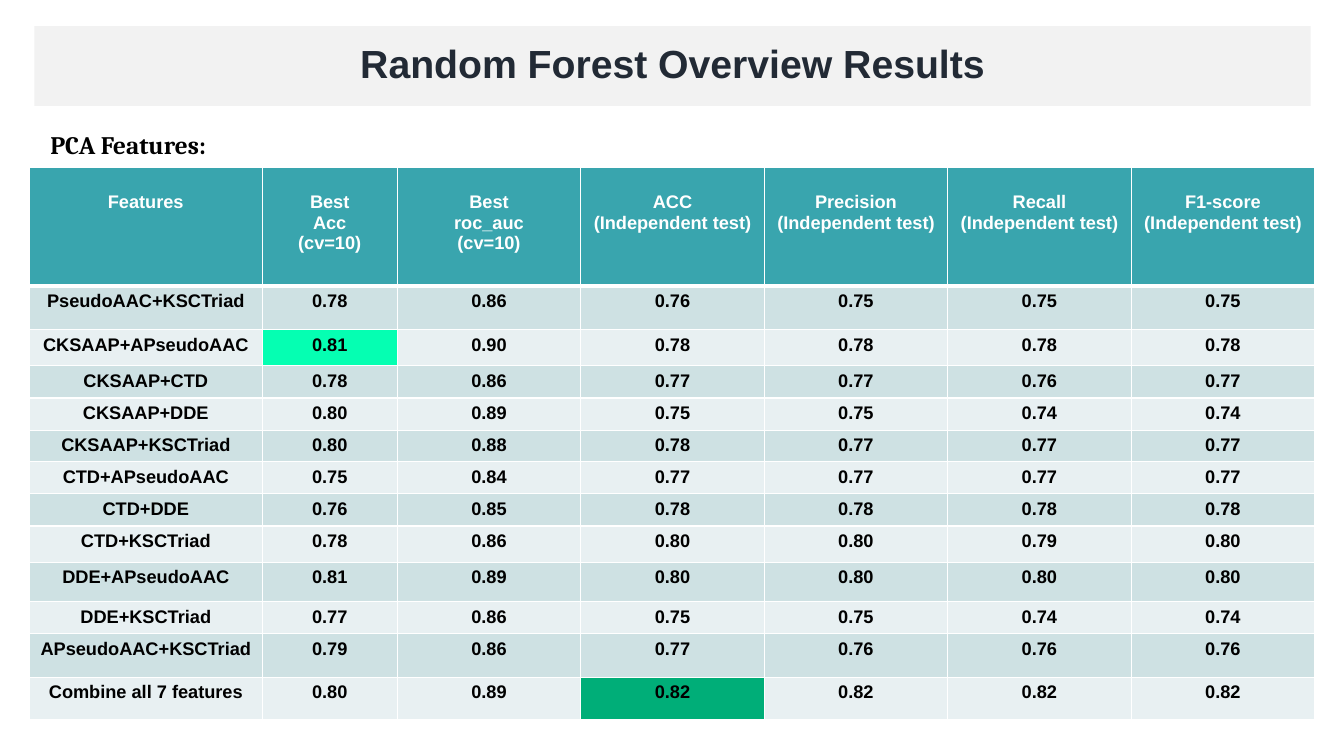
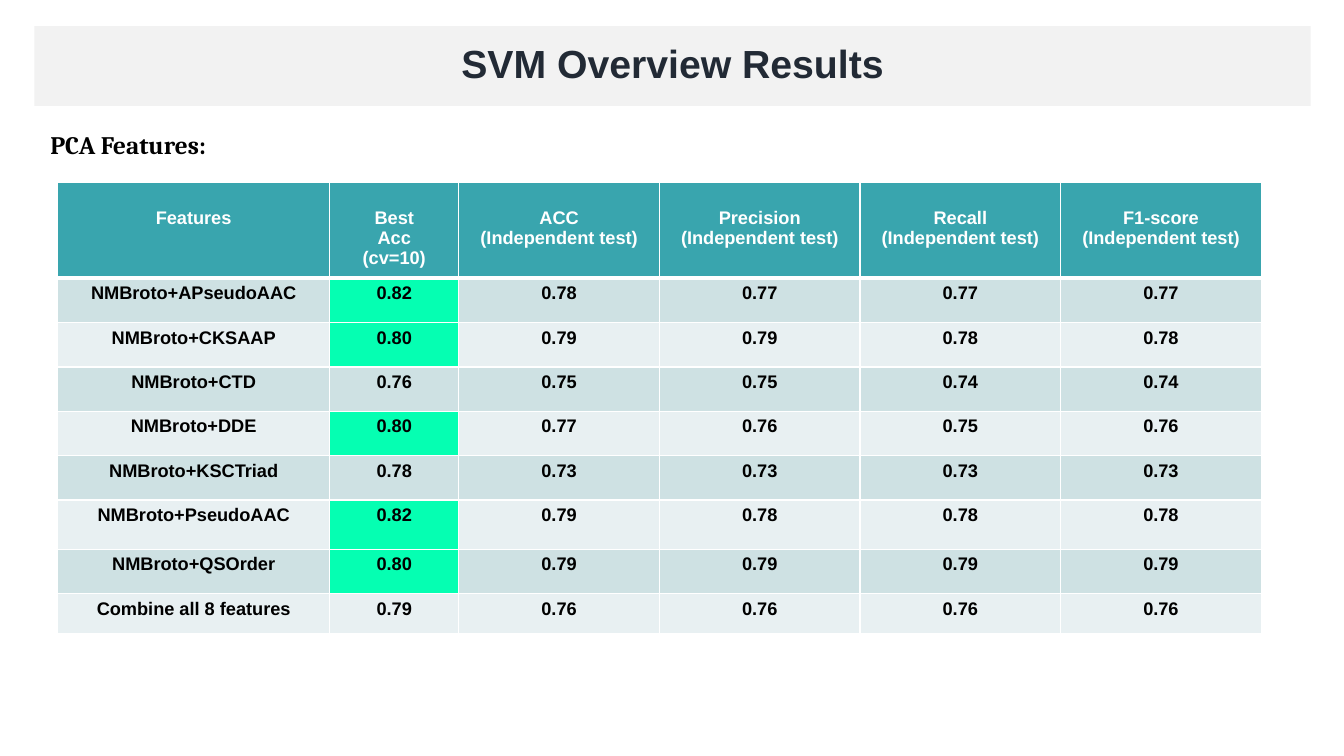
import dataclasses

import lxml.etree
import pptx
import pptx.dml.color
import pptx.enum.shapes
import pptx.enum.text
import pptx.oxml.ns
import pptx.util

ALIGN = pptx.enum.text.PP_ALIGN
EMU_PER_PX = 9144  # 100 px to the inch


@dataclasses.dataclass(frozen=True)
class Theme:
    # Colours
    band: str = "F2F2F2"
    title: str = "222A35"
    text: str = "000000"
    white: str = "FFFFFF"
    header: str = "39A5AE"
    rows: tuple = ("CEE1E3", "E8F0F2")
    bright: str = "05FFB2"
    deep: str = "00AE78"
    # Fonts and sizes in points
    font: str = "Arial"
    label_font: str = "Cambria"
    title_size: int = 28
    label_size: int = 18
    cell_size: int = 13
    thin: int = 1
    thick: int = 3


THEME = Theme()


@dataclasses.dataclass(frozen=True)
class ResultTable:
    title: str
    left: int
    top: int
    column_widths: list
    row_heights: list
    headers: list
    rows: list
    highlights: dict  # (row, column) -> fill colour


# Content
TEST_HEADERS = [f"{name}\n(Independent test)"
                for name in ("ACC", "Precision", "Recall", "F1-score")]
BASE_HEADERS = ["Features", "Best\nAcc\n(cv=10)"]

RANDOM_FOREST = ResultTable(
    title="Random Forest Overview Results",
    left=29,
    top=166,
    column_widths=[231, 134] + [182] * 5,
    row_heights=[118, 43, 36, 32, 32, 31, 32, 32, 36, 39, 32, 43, 42],
    headers=BASE_HEADERS + ["Best\nroc_auc\n(cv=10)"] + TEST_HEADERS,
    rows=[
        ("PseudoAAC+KSCTriad", "0.78 0.86 0.76 0.75 0.75 0.75"),
        ("CKSAAP+APseudoAAC", "0.81 0.90 0.78 0.78 0.78 0.78"),
        ("CKSAAP+CTD", "0.78 0.86 0.77 0.77 0.76 0.77"),
        ("CKSAAP+DDE", "0.80 0.89 0.75 0.75 0.74 0.74"),
        ("CKSAAP+KSCTriad", "0.80 0.88 0.78 0.77 0.77 0.77"),
        ("CTD+APseudoAAC", "0.75 0.84 0.77 0.77 0.77 0.77"),
        ("CTD+DDE", "0.76 0.85 0.78 0.78 0.78 0.78"),
        ("CTD+KSCTriad", "0.78 0.86 0.80 0.80 0.79 0.80"),
        ("DDE+APseudoAAC", "0.81 0.89 0.80 0.80 0.80 0.80"),
        ("DDE+KSCTriad", "0.77 0.86 0.75 0.75 0.74 0.74"),
        ("APseudoAAC+KSCTriad", "0.79 0.86 0.77 0.76 0.76 0.76"),
        ("Combine all 7 features", "0.80 0.89 0.82 0.82 0.82 0.82"),
    ],
    highlights={(2, 1): THEME.bright, (12, 3): THEME.deep},
)

SVM = ResultTable(
    title="SVM Overview Results",
    left=57,
    top=181,
    column_widths=[270, 128] + [199] * 4,
    row_heights=[95] + [44] * 5 + [49, 44, 40],
    headers=BASE_HEADERS + TEST_HEADERS,
    rows=[
        ("NMBroto+APseudoAAC", "0.82 0.78 0.77 0.77 0.77"),
        ("NMBroto+CKSAAP", "0.80 0.79 0.79 0.78 0.78"),
        ("NMBroto+CTD", "0.76 0.75 0.75 0.74 0.74"),
        ("NMBroto+DDE", "0.80 0.77 0.76 0.75 0.76"),
        ("NMBroto+KSCTriad", "0.78 0.73 0.73 0.73 0.73"),
        ("NMBroto+PseudoAAC", "0.82 0.79 0.78 0.78 0.78"),
        ("NMBroto+QSOrder", "0.80 0.79 0.79 0.79 0.79"),
        ("Combine all 8 features", "0.79 0.76 0.76 0.76 0.76"),
    ],
    highlights={(row, 1): THEME.bright for row in (1, 2, 4, 6, 7)},
)


# Helpers
def px(length):
    return pptx.util.Emu(length * EMU_PER_PX)


def rgb(colour):
    return pptx.dml.color.RGBColor.from_string(colour)


def set_fill(target, colour):
    target.fill.solid()
    target.fill.fore_color.rgb = rgb(colour)


def write_text(text_frame, text, size, colour, font=THEME.font, align=ALIGN.CENTER):
    text_frame.text = text
    for paragraph in text_frame.paragraphs:
        paragraph.alignment = align
        for run in paragraph.runs:
            run.font.name = font
            run.font.size = pptx.util.Pt(size)
            run.font.bold = True
            run.font.color.rgb = rgb(colour)


def set_borders(cell, top, bottom):
    properties = cell._tc.get_or_add_tcPr()
    widths = {"a:lnL": THEME.thin, "a:lnR": THEME.thin, "a:lnT": top, "a:lnB": bottom}
    for position, (tag, width) in enumerate(widths.items()):
        line = lxml.etree.Element(pptx.oxml.ns.qn(tag), w=str(pptx.util.Pt(width)))
        fill = lxml.etree.SubElement(line, pptx.oxml.ns.qn("a:solidFill"))
        lxml.etree.SubElement(fill, pptx.oxml.ns.qn("a:srgbClr"), val=THEME.white)
        properties.insert(position, line)


# Slide parts
def add_title_band(slide, title):
    band = slide.shapes.add_shape(
        pptx.enum.shapes.MSO_SHAPE.RECTANGLE, px(34), px(26), px(1266), px(79))
    band.shadow.inherit = False
    set_fill(band, THEME.band)
    band.line.fill.background()
    text_frame = band.text_frame
    text_frame.word_wrap = True
    text_frame.vertical_anchor = pptx.enum.text.MSO_ANCHOR.MIDDLE
    write_text(text_frame, title, THEME.title_size, THEME.title)
    paragraph = text_frame.paragraphs[0]
    paragraph.line_spacing = 0.9
    paragraph.space_before = pptx.util.Pt(10)


def add_label(slide, text):
    text_frame = slide.shapes.add_textbox(px(40), px(123), px(1101), px(40)).text_frame
    text_frame.word_wrap = True
    text_frame.auto_size = pptx.enum.text.MSO_AUTO_SIZE.SHAPE_TO_FIT_TEXT
    write_text(text_frame, text, THEME.label_size, THEME.text,
               THEME.label_font, ALIGN.JUSTIFY)


def style_cell(cell, text, row, fill):
    is_header = row == 0
    cell.margin_left = cell.margin_right = px(5)
    cell.margin_top = px(25 if is_header else 5)
    write_text(cell.text_frame, text, THEME.cell_size,
               THEME.white if is_header else THEME.text)
    set_fill(cell, fill)
    set_borders(cell,
                top=THEME.thick if row == 1 else THEME.thin,
                bottom=THEME.thick if is_header else THEME.thin)


def add_result_table(slide, result):
    rows = [result.headers]
    rows += [[name, *values.split()] for name, values in result.rows]
    table = slide.shapes.add_table(
        len(rows), len(result.headers), px(result.left), px(result.top),
        px(sum(result.column_widths)), px(sum(result.row_heights))).table
    for column, width in zip(table.columns, result.column_widths):
        column.width = px(width)
    for table_row, height in zip(table.rows, result.row_heights):
        table_row.height = px(height)
    for row, texts in enumerate(rows):
        row_fill = THEME.rows[(row - 1) % 2] if row else THEME.header
        for column, text in enumerate(texts):
            fill = result.highlights.get((row, column), row_fill)
            style_cell(table.cell(row, column), text, row, fill)


def add_result_slide(presentation, result):
    slide = presentation.slides.add_slide(presentation.slide_layouts[6])
    add_result_table(slide, result)
    add_label(slide, "PCA Features:")
    add_title_band(slide, result.title)


def main():
    presentation = pptx.Presentation()
    presentation.slide_width = px(1333)
    presentation.slide_height = px(750)
    for result in (RANDOM_FOREST, SVM):
        add_result_slide(presentation, result)
    presentation.save("out.pptx")


if __name__ == "__main__":
    main()
